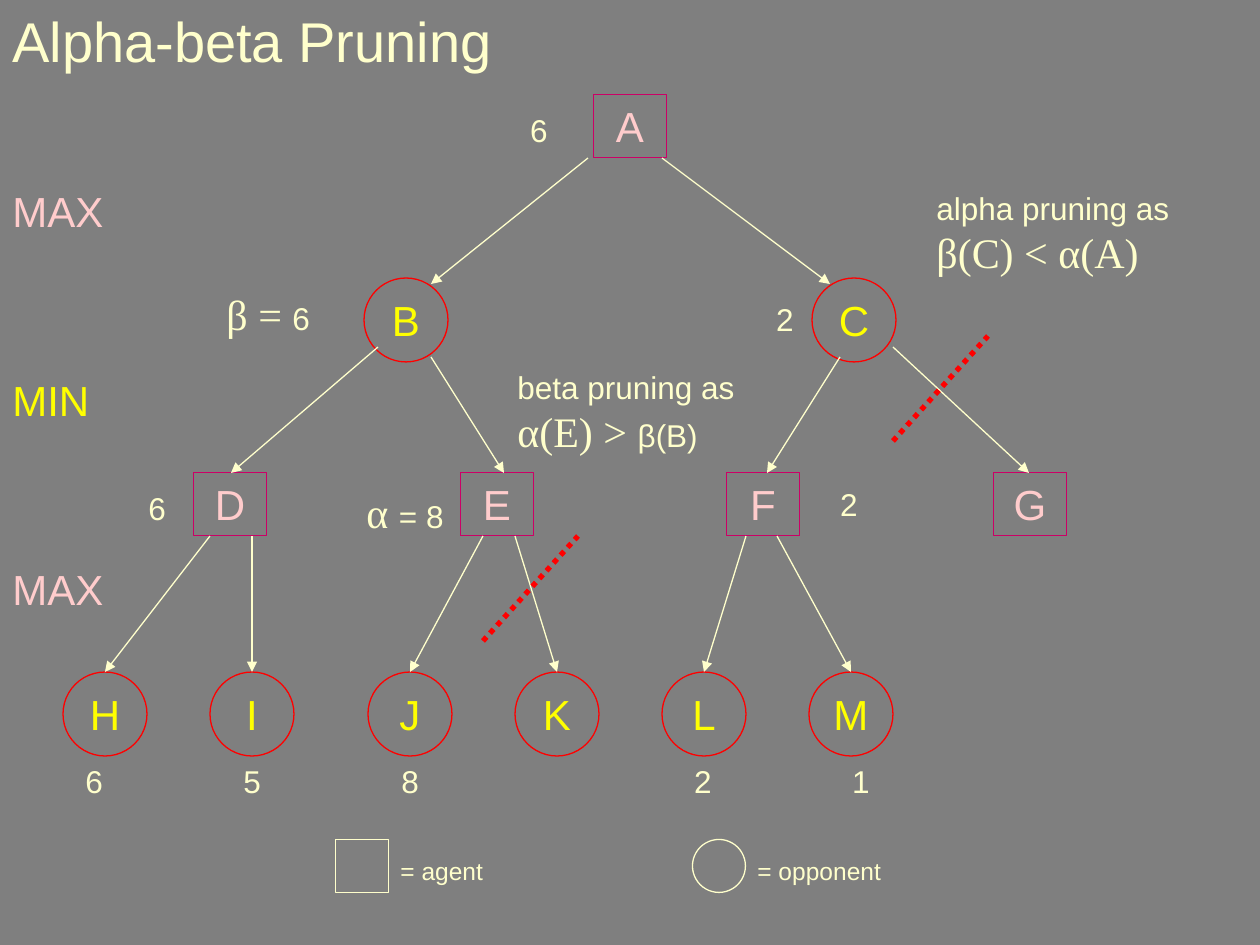
from lxml import etree
from pptx import Presentation
from pptx.dml.color import RGBColor
from pptx.enum.dml import MSO_LINE
from pptx.enum.shapes import MSO_CONNECTOR, MSO_SHAPE
from pptx.enum.text import MSO_ANCHOR, PP_ALIGN
from pptx.oxml.ns import qn
from pptx.util import Pt

SQUARE, CIRCLE = MSO_SHAPE.RECTANGLE, MSO_SHAPE.OVAL
STRAIGHT, DOTTED = MSO_CONNECTOR.STRAIGHT, MSO_LINE.ROUND_DOT
MIDDLE, LEFT, CENTER = MSO_ANCHOR.MIDDLE, PP_ALIGN.LEFT, PP_ALIGN.CENTER

GREY = RGBColor(0x7F, 0x7F, 0x7F)
CREAM = RGBColor(0xFF, 0xFF, 0xCC)
PINK = RGBColor(0xFF, 0xCC, 0xCC)
YELLOW = RGBColor(0xFF, 0xFF, 0x00)
RED = RGBColor(0xFF, 0x00, 0x00)
MAGENTA = RGBColor(0xCC, 0x00, 0x66)

SANS, SERIF = "Arial", "Times New Roman"
EMU_PER_PX = 914400 / 126

# Tree rows (centre heights) and node sizes
ROOT_Y, MIN_Y, MAX_Y, LEAF_Y = 126, 320, 504, 714
AGENT_SIZE, OPPONENT_SIZE, KEY_SIZE = (73, 63), (84, 84), (53, 53)

OPPONENTS = [("B", 406, MIN_Y), ("C", 854, MIN_Y)] + [
    (name, left + 147 * place, LEAF_Y)
    for pair, left in (("HI", 105), ("JK", 410), ("LM", 704))
    for place, name in enumerate(pair)
]
AGENTS = [("A", 630, ROOT_Y)] + [
    (name, round(230 + 800 / 3 * place), MAX_Y) for place, name in enumerate("DEFG")
]

# Edges by tree level: (top, bottom, [(from x, to x)])
EDGES = [
    (158, 284, [(588, 431), (662, 830)]),
    (347, 473, [(378, 231), (893, 1029)]),
    (357, 473, [(431, 504), (840, 767)]),
    (536, 672, [(210, 105), (252, 252), (483, 410), (515, 557), (746, 704), (777, 851)]),
]
PRUNING_CUTS = [(483, 641), (893, 441)]

# Node values: (text, centre x, top)
VALUES = [
    ("6", 539, 105), ("2", 785, 294), ("6", 157, 483), ("2", 849, 479),
    ("6", 94, 756), ("5", 252, 756), ("8", 410, 756), ("2", 703, 756), ("1", 861, 756),
]

# Notes: (left, top, width, height, lines of (text, size, font))
NOTES = [
    (214, 282, 160, 63, [[("β = ", 24, SERIF), ("6", 18, SANS)]]),
    (354, 480, 147, 63, [[("α ", 24, SERIF), ("= 8", 18, SANS)]]),
    (505, 362, 252, 101, [[("beta pruning as", 18, SANS)],
                          [("α(E) > ", 24, SERIF), ("β(B)", 18, SANS)]]),
    (924, 183, 273, 178, [[("alpha pruning as", 18, SANS)],
                          [("β(C) < α(A)", 24, SERIF)]]),
]


def px(length):
    return round(length * EMU_PER_PX)


def set_font(font, size, color, name=SANS):
    font.size, font.name = Pt(size), name
    font.color.rgb = color


def add_node(page, kind, center, size, line_color, label="", text_color=CREAM):
    """Outlined shape placed by its centre, with an optional letter."""
    (x, y), (width, height) = center, size
    node = page.shapes.add_shape(
        kind, px(x - width / 2), px(y - height / 2), px(width), px(height))
    node.shadow.inherit = False
    node.fill.background()
    node.line.color.rgb = line_color
    node.line.width = Pt(0.75)
    if label:
        frame = node.text_frame
        frame.word_wrap = False
        frame.vertical_anchor = MIDDLE
        para = frame.paragraphs[0]
        para.text, para.alignment = label, CENTER
        set_font(para.font, 24, text_color)


def add_line(page, start, end, color, width):
    line = page.shapes.add_connector(STRAIGHT, *map(px, start + end))
    line.line.color.rgb = color
    line.line.width = Pt(width)
    etree.SubElement(line._element.spPr, qn("a:effectLst"))
    return line


def add_arrow(page, start, end):
    arrow = add_line(page, start, end, CREAM, 0.75)
    etree.SubElement(arrow.line._get_or_add_ln(), qn("a:tailEnd"), type="triangle")


def add_box(page, left, top, width, height):
    box = page.shapes.add_textbox(px(left), px(top), px(width), px(height))
    box.text_frame.word_wrap = True
    return box.text_frame.paragraphs[0]


def add_label(page, text, area, size, color=CREAM, align=LEFT):
    para = add_box(page, *area)
    para.text, para.alignment = text, align
    set_font(para.font, size, color)


def add_note(page, area, lines):
    """Text of mixed fonts, with line breaks between the lines."""
    para = add_box(page, *area)
    for index, line in enumerate(lines):
        if index:
            para.add_line_break()
        for text, size, name in line:
            span = para.add_run()
            span.text = text
            set_font(span.font, size, CREAM, name)


def main():
    deck = Presentation()
    deck.slide_width, deck.slide_height = px(1260), px(945)
    page = deck.slides.add_slide(deck.slide_layouts[6])
    page.background.fill.solid()
    page.background.fill.fore_color.rgb = GREY

    # Title and level names
    add_label(page, "Alpha-beta Pruning", (0, 0, 819, 81), 32)
    for level, (name, color) in enumerate([("MAX", PINK), ("MIN", YELLOW), ("MAX", PINK)]):
        add_label(page, name, (0, 179 + 189 * level, 136, 63), 24, color)

    # Tree
    for name, x, y in AGENTS:
        add_node(page, SQUARE, (x, y), AGENT_SIZE, MAGENTA, name, PINK)
    for name, x, y in OPPONENTS:
        add_node(page, CIRCLE, (x, y), OPPONENT_SIZE, RED, name, YELLOW)
    for top, bottom, spans in EDGES:
        for start_x, end_x in spans:
            add_arrow(page, (start_x, top), (end_x, bottom))
    for x, y in PRUNING_CUTS:
        cut = add_line(page, (x, y), (x + 95, y - 105), RED, 3)
        cut.line.dash_style = DOTTED

    # Values and notes
    for text, x, top in VALUES:
        add_label(page, text, (x - 40, top, 80, 50), 18, align=CENTER)
    for *area, lines in NOTES:
        add_note(page, area, lines)

    # Key
    for kind, x, meaning in ((SQUARE, 362, "= agent"), (CIRCLE, 719, "= opponent")):
        add_node(page, kind, (x, 866), KEY_SIZE, CREAM)
        add_label(page, meaning, (x + 26, 850, 231, 43), 14)

    deck.save("out.pptx")


if __name__ == "__main__":
    main()
